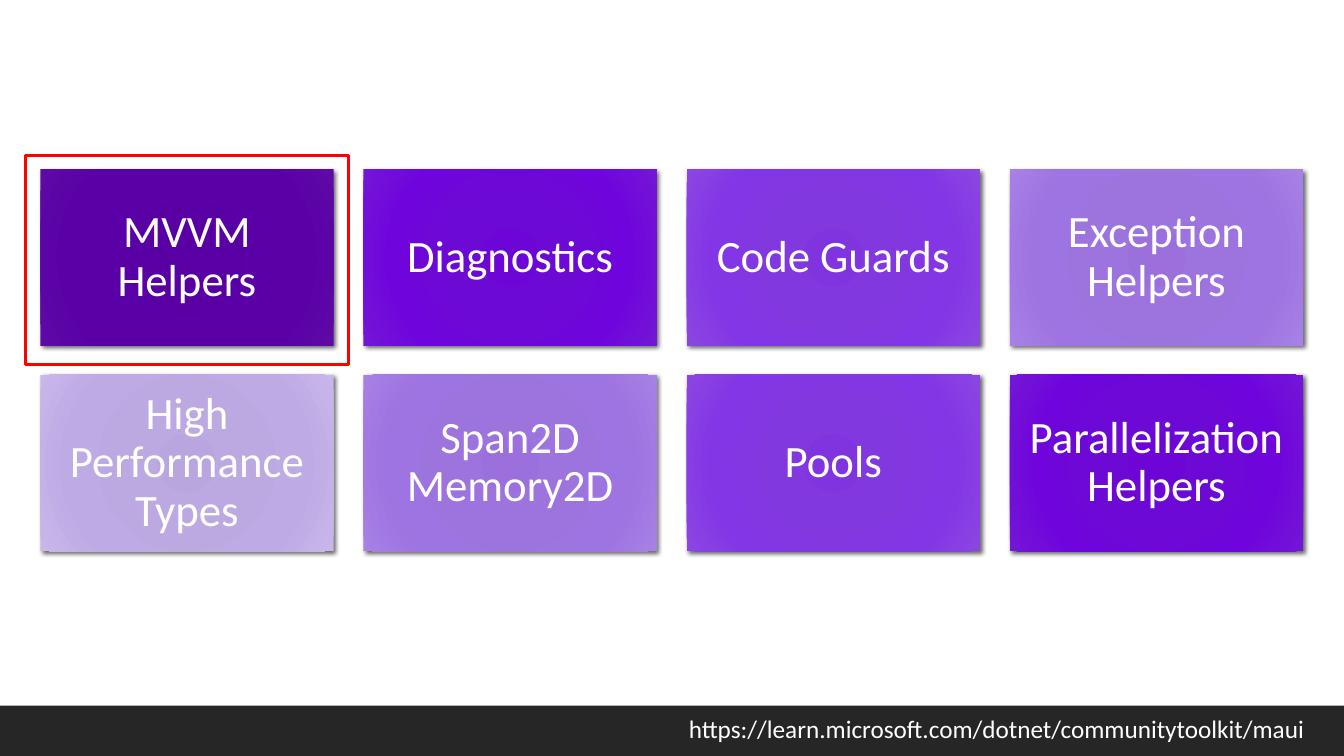
"""Build a slide with a grid of toolkit features and a link in the footer."""
from pptx import Presentation
from pptx.dml.color import RGBColor
from pptx.enum.shapes import MSO_SHAPE
from pptx.enum.text import MSO_ANCHOR, PP_ALIGN
from pptx.oxml import parse_xml
from pptx.oxml.ns import nsdecls
from pptx.util import Inches, Pt

RECTANGLE = MSO_SHAPE.RECTANGLE
MIDDLE, BOTTOM = MSO_ANCHOR.MIDDLE, MSO_ANCHOR.BOTTOM
CENTER, RIGHT = PP_ALIGN.CENTER, PP_ALIGN.RIGHT

WHITE = RGBColor(0xFF, 0xFF, 0xFF)
CHARCOAL = RGBColor(0x26, 0x26, 0x26)
RED = RGBColor(0xFF, 0x00, 0x00)


def purples(*codes):
    return [RGBColor.from_string(code) for code in codes]


DEEP = purples("5800A3", "5900A4", "5A00A7", "5E0AA5")
VIVID = purples("6C05D6", "6D09D4", "6F05DC", "7417D5")
BRIGHT = purples("8034E0", "8238DF", "8336E5", "8B46E2")
SOFT = purples("9B70DD", "9D73DD", "9E73E2", "A881E4")
PALE = purples("B9A6DF", "BCA9E1", "BEAAE5", "C9B7EB")

STOPS = (0, 34, 70, 100)
FEATURES = [
    ("MVVM Helpers", DEEP), ("Diagnostics", VIVID),
    ("Code Guards", BRIGHT), ("Exception Helpers", SOFT),
    ("High Performance Types", PALE), ("Span2D Memory2D", SOFT),
    ("Pools", BRIGHT), ("Parallelization Helpers", VIVID),
]
COLUMNS = 4
TILE_WIDTH, TILE_HEIGHT = 2.91, 1.75
GRID_LEFT, GRID_TOP = 0.4, 1.68
COLUMN_STEP, ROW_STEP = 3.206, 2.04


def write_text(shape, text, size, align, frame_format):
    frame = shape.text_frame
    for name, value in frame_format.items():
        setattr(frame, name, value)
    paragraph = frame.paragraphs[0]
    paragraph.text = text
    paragraph.alignment = align
    for name, value in {"name": "Calibri", "size": Pt(size)}.items():
        setattr(paragraph.font, name, value)
    paragraph.font.color.rgb = WHITE
    return paragraph


presentation = Presentation()
presentation.slide_width = Inches(13.333)
presentation.slide_height = Inches(7.5)
slide = presentation.slides.add_slide(presentation.slide_layouts[6])

footer_band = slide.shapes.add_shape(
    RECTANGLE, Inches(-0.12), Inches(7), Inches(13.6), Inches(0.5))
footer_band.shadow.inherit = False
footer_band.fill.solid()
footer_band.fill.fore_color.rgb = CHARCOAL
footer_band.line.fill.background()

tile_format = dict.fromkeys(
    ("margin_left", "margin_top", "margin_right", "margin_bottom"), Inches(0.13))
tile_format.update(word_wrap=True, vertical_anchor=MIDDLE)

for index, (feature, shades) in enumerate(FEATURES):
    row, column = divmod(index, COLUMNS)
    tile = slide.shapes.add_shape(
        RECTANGLE,
        Inches(GRID_LEFT + column * COLUMN_STEP), Inches(GRID_TOP + row * ROW_STEP),
        Inches(TILE_WIDTH), Inches(TILE_HEIGHT))
    tile.line.fill.background()
    gradient_stops = "".join(
        f'<a:gs pos="{stop * 1000}"><a:srgbClr val="{shade}"/></a:gs>'
        for stop, shade in zip(STOPS, shades))
    gradient = parse_xml(
        f'<a:gradFill {nsdecls("a")} rotWithShape="1">'
        f'<a:gsLst>{gradient_stops}</a:gsLst><a:path path="circle">'
        '<a:fillToRect l="100000" t="100000" r="100000" b="100000"/>'
        '</a:path></a:gradFill>')
    shadow = parse_xml(
        f'<a:effectLst {nsdecls("a")}><a:outerShdw blurRad="{Pt(3)}" '
        f'dist="{Pt(2)}" dir="2700000" rotWithShape="0">'
        '<a:srgbClr val="000000"><a:alpha val="60000"/></a:srgbClr>'
        '</a:outerShdw></a:effectLst>')
    properties = tile.element.spPr
    properties.insert(2, gradient)
    properties.append(shadow)
    label = write_text(tile, feature, 32, CENTER, tile_format)
    label.line_spacing = 0.9

link = slide.shapes.add_textbox(
    Inches(0), Inches(6.87), Inches(13.33), Inches(0.63))
link_format = {
    "word_wrap": True, "vertical_anchor": BOTTOM,
    "margin_left": Inches(0.08), "margin_top": Inches(0.08),
    "margin_right": Inches(0.39), "margin_bottom": Inches(0.12),
}
write_text(link, "https://learn.microsoft.com/dotnet/communitytoolkit/maui",
           18, RIGHT, link_format)

highlight = slide.shapes.add_shape(
    RECTANGLE, Inches(0.25), Inches(1.54), Inches(3.21), Inches(2.08))
highlight.shadow.inherit = False
highlight.fill.background()
highlight.line.color.rgb = RED
highlight.line.width = Pt(2)

presentation.save("out.pptx")
